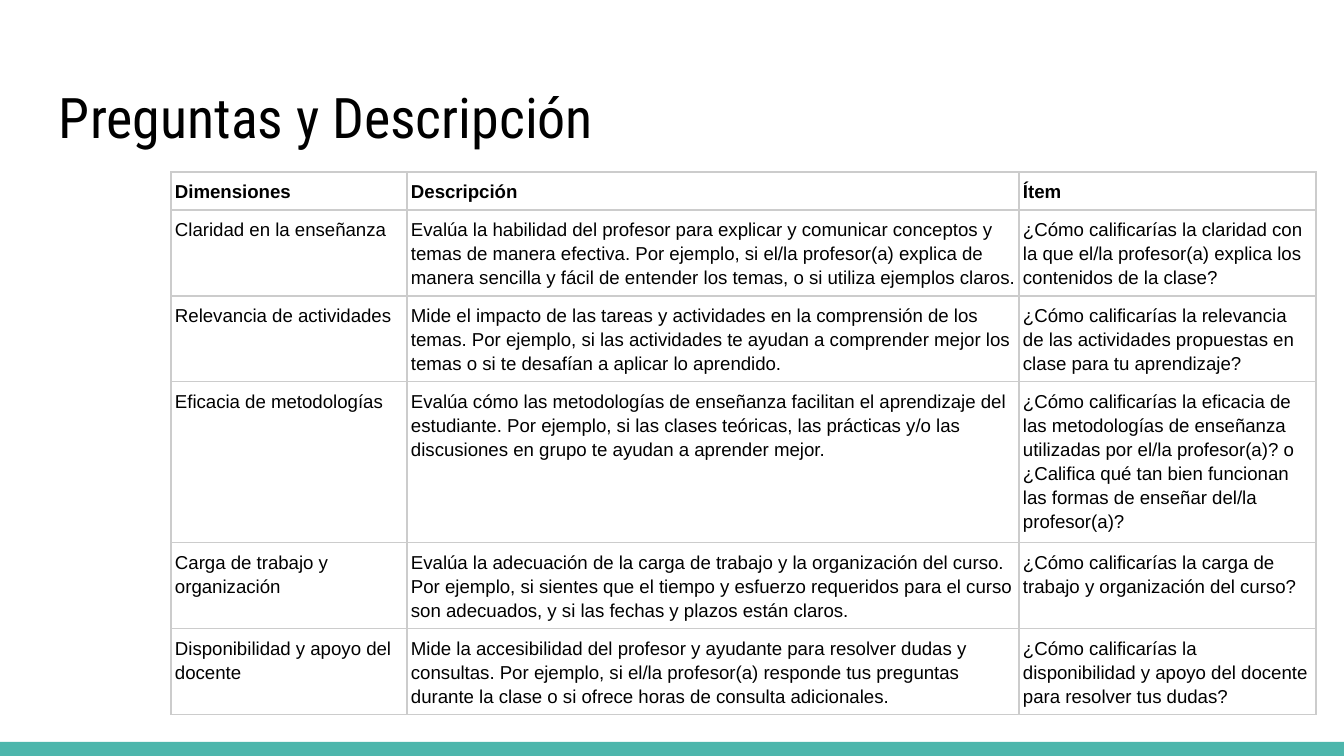
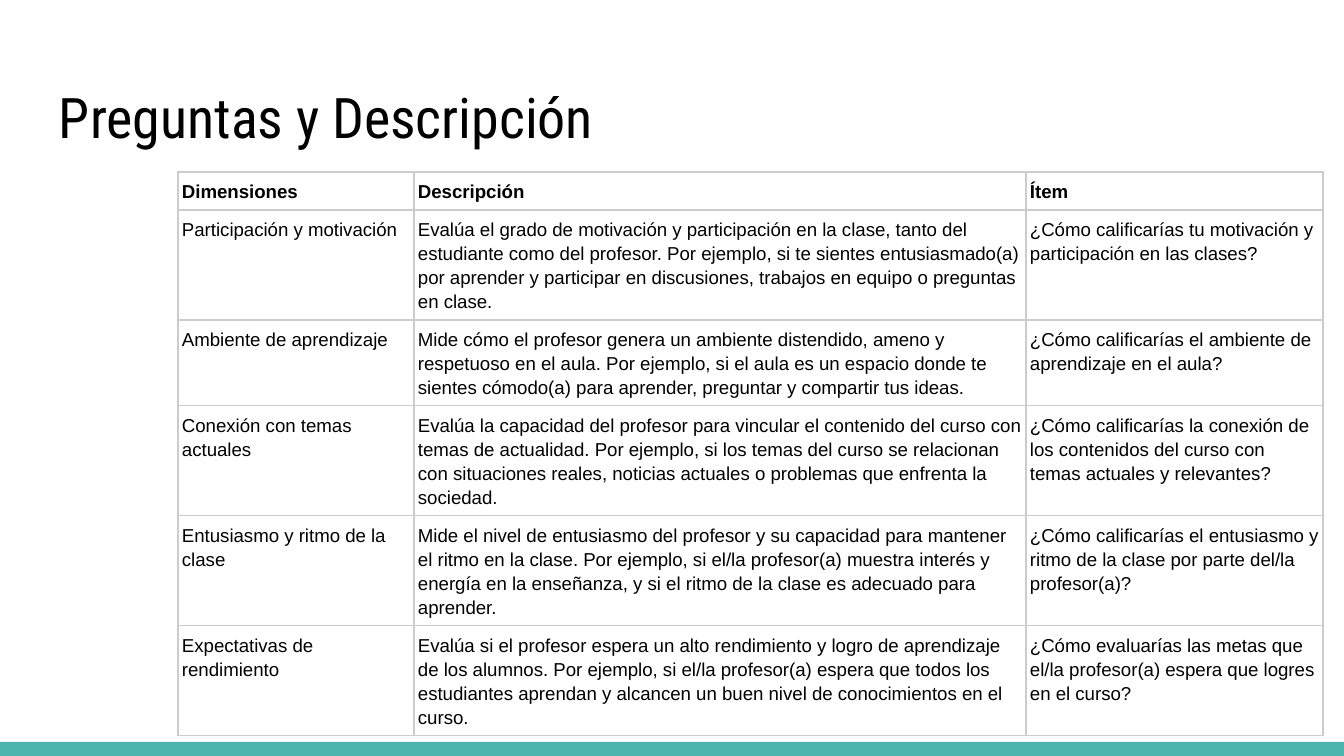
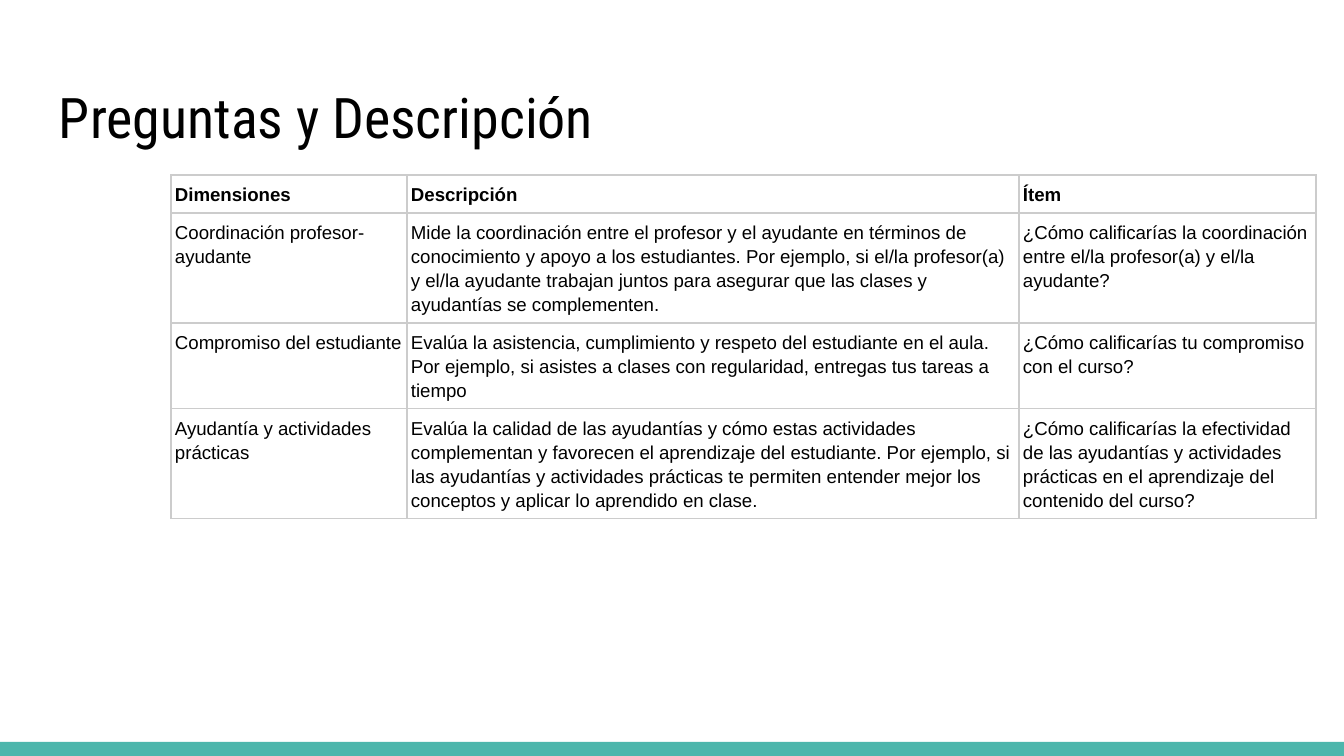
from lxml.etree import SubElement
from pptx import Presentation
from pptx.dml.color import RGBColor
from pptx.enum.shapes import MSO_SHAPE
from pptx.enum.text import MSO_ANCHOR, MSO_AUTO_SIZE, PP_ALIGN
from pptx.oxml.ns import qn
from pptx.util import Emu, Pt

WIDTH, HEIGHT = 1344, 756
COLORS = {"text": "000000", "band": "4DB6AC", "border": "CCCCCC"}
HEADINGS = ("Dimensiones", "Descripción", "Ítem")
COLUMN_WIDTHS = (236, 612, 297)
HEADING_HEIGHT = 34


def px(length):
    return Emu(round(length * 914400 / 134.4))


class Deck:
    def __init__(self):
        self.presentation = Presentation()
        self.presentation.slide_width = px(WIDTH)
        self.presentation.slide_height = px(HEIGHT)
        self.slide = None

    def new_slide(self, title):
        layout = self.presentation.slide_layouts.get_by_name("Title Only")
        self.slide = self.presentation.slides.add_slide(layout)
        self.footer_band()
        self.title(title)

    def footer_band(self, height=14):
        band = self.slide.shapes.add_shape(
            MSO_SHAPE.RECTANGLE, 0, px(HEIGHT - height), px(WIDTH), px(height))
        band.shadow.inherit = False
        band.fill.solid()
        band.fill.fore_color.rgb = RGBColor.from_string(COLORS["band"])
        band.line.fill.background()

    def title(self, text):
        heading = self.slide.shapes.title
        heading.left, heading.top = px(46), px(55)
        heading.width, heading.height = px(1253), px(108)
        frame = heading.text_frame
        frame.text = text
        frame.word_wrap = True
        frame.auto_size = MSO_AUTO_SIZE.NONE
        frame.vertical_anchor = MSO_ANCHOR.BOTTOM
        frame.margin_left = frame.margin_right = px(13)
        frame.margin_top = frame.margin_bottom = px(13)
        frame.paragraphs[0].alignment = PP_ALIGN.LEFT
        self.style_runs(frame.paragraphs[0], "Roboto Condensed", 30)

    def style_runs(self, paragraph, font_name, size, bold=False):
        for run in paragraph.runs:
            run.font.name = font_name
            run.font.size = Pt(size)
            run.font.bold = bold
            run.font.color.rgb = RGBColor.from_string(COLORS["text"])

    def question_table(self, left, top, questions):
        """Each question is a row height followed by its three texts."""
        rows = [(HEADING_HEIGHT, *HEADINGS), *questions]
        table = self.slide.shapes.add_table(
            len(rows), len(COLUMN_WIDTHS), px(left), px(top),
            px(sum(COLUMN_WIDTHS)), px(sum(row[0] for row in rows))).table
        table.first_row = table.horz_banding = False
        for column, width in zip(table.columns, COLUMN_WIDTHS):
            column.width = px(width)
        for row_index, (height, *texts) in enumerate(rows):
            table.rows[row_index].height = px(height)
            for column_index, text in enumerate(texts):
                self.cell(table.cell(row_index, column_index), text, bold=row_index == 0)

    def cell(self, cell, text, bold):
        cell.text_frame.text = text
        cell.margin_left = cell.margin_right = px(4)
        cell.margin_top = cell.margin_bottom = px(7)
        cell.vertical_anchor = MSO_ANCHOR.TOP
        paragraph = cell.text_frame.paragraphs[0]
        paragraph.line_spacing = 1.15
        self.style_runs(paragraph, "Arial", 10, bold)
        self.cell_borders(cell)
        cell.fill.background()

    def cell_borders(self, cell):
        properties = cell._tc.get_or_add_tcPr()
        for side in ("a:lnL", "a:lnR", "a:lnT", "a:lnB"):
            border = SubElement(properties, qn(side), w=str(Pt(0.75)))
            fill = SubElement(border, qn("a:solidFill"))
            SubElement(fill, qn("a:srgbClr"), val=COLORS["border"])


# Left edge, top edge and questions of each slide's table
QUESTION_SLIDES = [
    (171, 172, [
        (85, "Claridad en la enseñanza",
         "Evalúa la habilidad del profesor para explicar y comunicar conceptos y temas de "
         "manera efectiva. Por ejemplo, si el/la profesor(a) explica de manera sencilla y "
         "fácil de entender los temas, o si utiliza ejemplos claros.",
         "¿Cómo calificarías la claridad con la que el/la profesor(a) explica los "
         "contenidos de la clase?"),
        (85, "Relevancia de actividades",
         "Mide el impacto de las tareas y actividades en la comprensión de los temas. Por "
         "ejemplo, si las actividades te ayudan a comprender mejor los temas o si te "
         "desafían a aplicar lo aprendido.",
         "¿Cómo calificarías la relevancia de las actividades propuestas en clase para tu "
         "aprendizaje?"),
        (161, "Eficacia de metodologías",
         "Evalúa cómo las metodologías de enseñanza facilitan el aprendizaje del "
         "estudiante. Por ejemplo, si las clases teóricas, las prácticas y/o las "
         "discusiones en grupo te ayudan a aprender mejor.",
         "¿Cómo calificarías la eficacia de las metodologías de enseñanza utilizadas por "
         "el/la profesor(a)? o ¿Califica qué tan bien funcionan las formas de enseñar "
         "del/la profesor(a)?"),
        (85, "Carga de trabajo y organización",
         "Evalúa la adecuación de la carga de trabajo y la organización del curso. Por "
         "ejemplo, si sientes que el tiempo y esfuerzo requeridos para el curso son "
         "adecuados, y si las fechas y plazos están claros.",
         "¿Cómo calificarías la carga de trabajo y organización del curso?"),
        (85, "Disponibilidad y apoyo del docente",
         "Mide la accesibilidad del profesor y ayudante para resolver dudas y consultas. "
         "Por ejemplo, si el/la profesor(a) responde tus preguntas durante la clase o si "
         "ofrece horas de consulta adicionales.",
         "¿Cómo calificarías la disponibilidad y apoyo del docente para resolver tus "
         "dudas?"),
    ]),
    (178, 172, [
        (110, "Participación y motivación",
         "Evalúa el grado de motivación y participación en la clase, tanto del estudiante "
         "como del profesor. Por ejemplo, si te sientes entusiasmado(a) por aprender y "
         "participar en discusiones, trabajos en equipo o preguntas en clase.",
         "¿Cómo calificarías tu motivación y participación en las clases?"),
        (85, "Ambiente de aprendizaje",
         "Mide cómo el profesor genera un ambiente distendido, ameno y respetuoso en el "
         "aula. Por ejemplo, si el aula es un espacio donde te sientes cómodo(a) para "
         "aprender, preguntar y compartir tus ideas.",
         "¿Cómo calificarías el ambiente de aprendizaje en el aula?"),
        (110, "Conexión con temas actuales",
         "Evalúa la capacidad del profesor para vincular el contenido del curso con temas "
         "de actualidad. Por ejemplo, si los temas del curso se relacionan con situaciones "
         "reales, noticias actuales o problemas que enfrenta la sociedad.",
         "¿Cómo calificarías la conexión de los contenidos del curso con temas actuales y "
         "relevantes?"),
        (110, "Entusiasmo y ritmo de la clase",
         "Mide el nivel de entusiasmo del profesor y su capacidad para mantener el ritmo "
         "en la clase. Por ejemplo, si el/la profesor(a) muestra interés y energía en la "
         "enseñanza, y si el ritmo de la clase es adecuado para aprender.",
         "¿Cómo calificarías el entusiasmo y ritmo de la clase por parte del/la "
         "profesor(a)?"),
        (110, "Expectativas de rendimiento",
         "Evalúa si el profesor espera un alto rendimiento y logro de aprendizaje de los "
         "alumnos. Por ejemplo, si el/la profesor(a) espera que todos los estudiantes "
         "aprendan y alcancen un buen nivel de conocimientos en el curso.",
         "¿Cómo evaluarías las metas que el/la profesor(a) espera que logres en el "
         "curso?"),
    ]),
    (171, 175, [
        (110, "Coordinación profesor-ayudante",
         "Mide la coordinación entre el profesor y el ayudante en términos de conocimiento "
         "y apoyo a los estudiantes. Por ejemplo, si el/la profesor(a) y el/la ayudante "
         "trabajan juntos para asegurar que las clases y ayudantías se complementen.",
         "¿Cómo calificarías la coordinación entre el/la profesor(a) y el/la ayudante?"),
        (85, "Compromiso del estudiante",
         "Evalúa la asistencia, cumplimiento y respeto del estudiante en el aula. Por "
         "ejemplo, si asistes a clases con regularidad, entregas tus tareas a tiempo",
         "¿Cómo calificarías tu compromiso con el curso?"),
        (110, "Ayudantía y actividades prácticas",
         "Evalúa la calidad de las ayudantías y cómo estas actividades complementan y "
         "favorecen el aprendizaje del estudiante. Por ejemplo, si las ayudantías y "
         "actividades prácticas te permiten entender mejor los conceptos y aplicar lo "
         "aprendido en clase.",
         "¿Cómo calificarías la efectividad de las ayudantías y actividades prácticas en "
         "el aprendizaje del contenido del curso?"),
    ]),
]


def main():
    deck = Deck()
    for left, top, questions in QUESTION_SLIDES:
        deck.new_slide("Preguntas y Descripción")
        deck.question_table(left, top, questions)
    deck.presentation.save("out.pptx")


if __name__ == "__main__":
    main()
